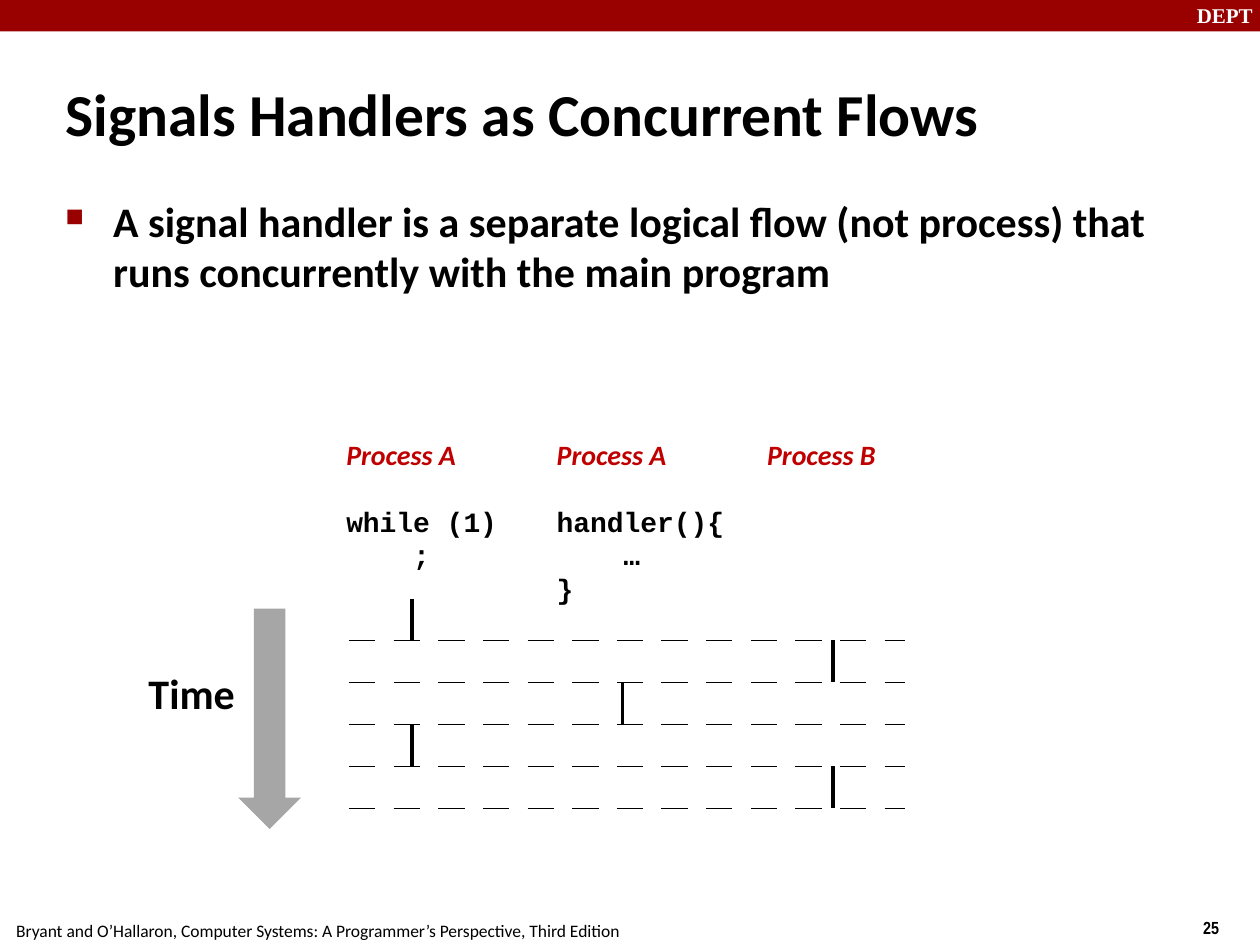
from lxml.etree import SubElement
from pptx import Presentation
from pptx.dml.color import RGBColor
from pptx.enum.shapes import MSO_CONNECTOR as Connector, MSO_SHAPE as Shape
from pptx.enum.text import MSO_ANCHOR as Anchor, MSO_AUTO_SIZE as AutoSize, PP_ALIGN as Align
from pptx.oxml.ns import qn
from pptx.util import Inches, Pt

COLORS = {
    "banner": "990000",
    "heading": "C00000",
    "arrow": "A6A6A6",
    "black": "000000",
    "white": "FFFFFF",
}


def color(name):
    return RGBColor.from_string(COLORS[name])


def write(para, text, size=16, font="Calibri", ink="black", bold=True, italic=False):
    para.alignment = Align.LEFT
    span = para.add_run()
    span.text = text
    span.font.size = Pt(size)
    span.font.name = font
    span.font.color.rgb = color(ink)
    span.font.bold = bold
    span.font.italic = italic


class SlideBuilder:
    def __init__(self, page):
        self.page = page

    def title(self, text, left, top, width, height):
        box = self.page.shapes.title
        box.left, box.top = Inches(left), Inches(top)
        box.width, box.height = Inches(width), Inches(height)
        box.text_frame.auto_size = AutoSize.NONE
        box.text_frame.vertical_anchor = Anchor.MIDDLE
        write(box.text_frame.paragraphs[0], text, size=34)

    def text(self, text, left, top, width, height, **style):
        box = self.page.shapes.add_textbox(
            Inches(left), Inches(top), Inches(width), Inches(height))
        box.text_frame.word_wrap = True
        box.text_frame.margin_right = 0
        write(box.text_frame.paragraphs[0], text, **style)
        return box.text_frame

    def bullet(self, text, left, top, width, height):
        para = self.text(text, left, top, width, height, size=24).paragraphs[0]
        para.space_before = Pt(4.8)
        props = para._p.get_or_add_pPr()
        props.set("marL", str(Inches(0.38)))
        props.set("indent", str(-Inches(0.38)))
        tint = SubElement(props, qn("a:buClr"))
        SubElement(tint, qn("a:srgbClr"), val=COLORS["banner"])
        SubElement(props, qn("a:buSzPct"), val="60000")
        SubElement(props, qn("a:buChar"), char="■")

    def process(self, name, code, left, top, width, height):
        frame = self.text(name, left, top, width, height, ink="heading", italic=True)
        for row, (text, indent) in enumerate(code):
            para = frame.add_paragraph()
            para.line_spacing = Pt(19.2)
            para.space_before = Pt(0 if row else 19.2)
            para._p.get_or_add_pPr().set("marL", str(Inches(indent)))
            write(para, text, font="Courier New")

    def block(self, kind, left, top, width, height, fill):
        block = self.page.shapes.add_shape(
            kind, Inches(left), Inches(top), Inches(width), Inches(height))
        block.shadow.inherit = False
        block.fill.solid()
        block.fill.fore_color.rgb = color(fill)
        block.line.fill.background()

    def line(self, x1, y1, x2, y2, weight, dash=None):
        line = self.page.shapes.add_connector(
            Connector.STRAIGHT, Inches(x1), Inches(y1), Inches(x2), Inches(y2))
        line.line.width = Pt(weight)
        line.line.color.rgb = color("black")
        if dash:
            pattern = SubElement(line.line._get_or_add_ln(), qn("a:custDash"))
            SubElement(pattern, qn("a:ds"), d=str(dash[0] * 100000), sp=str(dash[1] * 100000))
        SubElement(line._element.spPr, qn("a:effectLst"))


def main():
    deck = Presentation()
    deck.slide_width, deck.slide_height = Inches(10), Inches(7.5)
    slide = SlideBuilder(deck.slides.add_slide(deck.slide_layouts[5]))

    slide.block(Shape.RECTANGLE, 0, 0, 10, 0.25, "banner")
    slide.text("DEPT", 9.4, -0.03, 0.67, 0.3, size=12, font="Times New Roman", ink="white")
    slide.text("25", 9.45, 7.23, 0.75, 0.26, size=10, font="Arial Narrow")
    slide.text("Bryant and O’Hallaron, Computer Systems: A Programmer’s Perspective, Third Edition",
               0.03, 7.25, 4.99, 0.26, size=10, bold=False)

    slide.title("Signals Handlers as Concurrent Flows", 0.42, 0.48, 8.3, 0.83)
    slide.bullet("A signal handler is a separate logical flow (not process) that "
                 "runs concurrently with the main program", 0.42, 1.5, 9.08, 1.42)

    column_gap = 1.67
    processes = [
        ("Process A", [("while (1)", 0), (";", 0.53)], 1.4, 1.16),
        ("Process A", [("handler(){", 0), ("…", 0.53), ("}", 0)], 1.53, 1.43),
        ("Process B", [], 1.06, 0.36),
    ]
    for column, (name, code, width, height) in enumerate(processes):
        slide.process(name, code, 2.65 + column * column_gap, 3.42, width, height)

    running_columns = [0, 2, 1, 0, 2]
    step = 1 / 3
    for turn, column in enumerate(running_columns):
        x = 3.27 + column * column_gap
        start = 4.75 + turn * step
        end = start + step
        slide.line(x, start, x, end, 2)
        slide.line(2.77, end, 7.18, end, 0.25, dash=(59, 41))

    slide.text("Time", 1.08, 5.25, 0.89, 0.5, size=24)
    slide.block(Shape.DOWN_ARROW, 1.89, 4.83, 0.5, 1.75, "arrow")

    deck.save("out.pptx")


if __name__ == "__main__":
    main()
